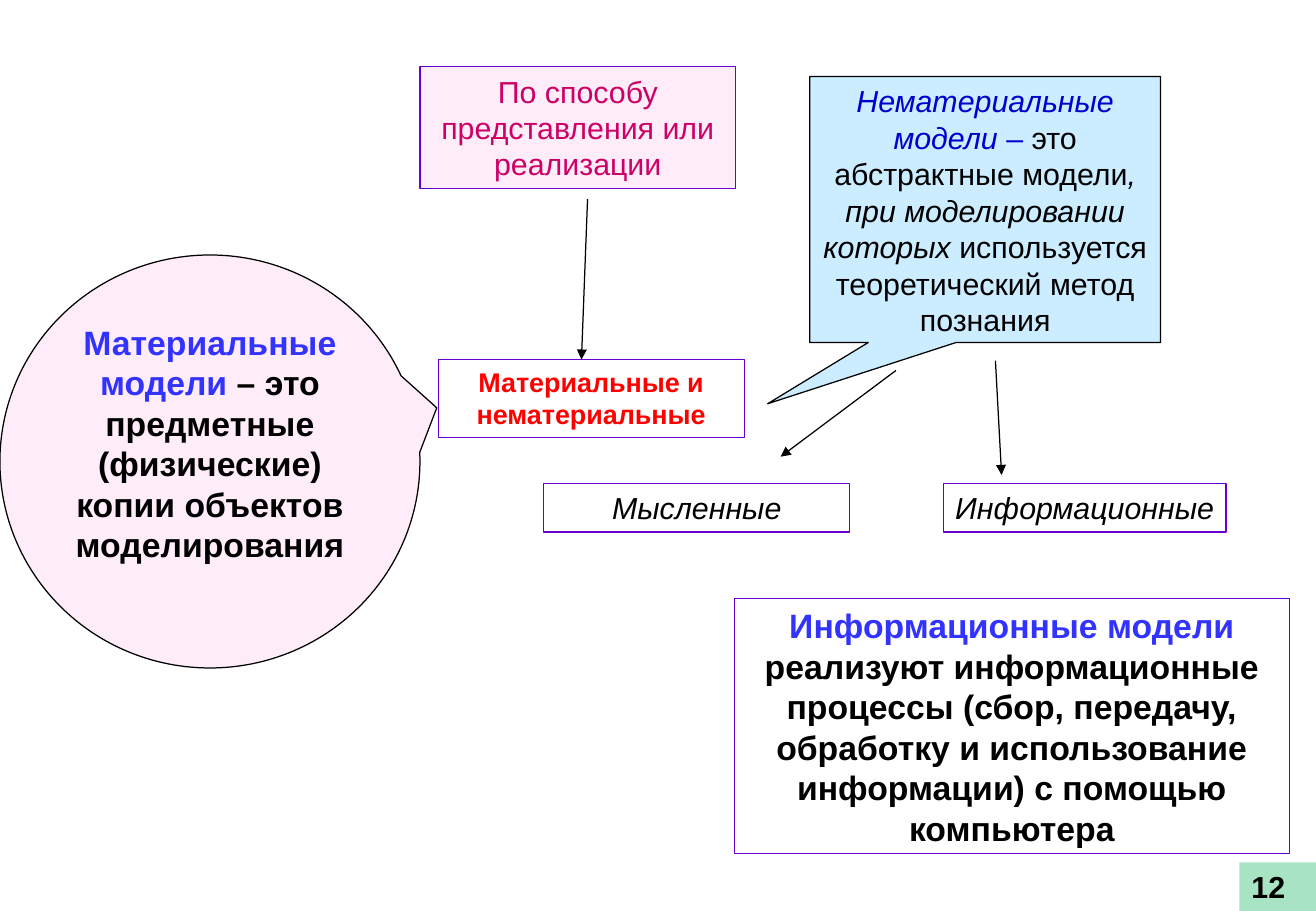
from lxml.etree import SubElement
from pptx import Presentation
from pptx.dml.color import RGBColor
from pptx.enum.shapes import MSO_CONNECTOR, MSO_SHAPE
from pptx.enum.text import MSO_ANCHOR, PP_ALIGN
from pptx.oxml.ns import qn
from pptx.util import Inches, Pt

BLACK = RGBColor(0x00, 0x00, 0x00)
RED = RGBColor(0xFF, 0x00, 0x00)
CRIMSON = RGBColor(0xCC, 0x00, 0x66)
VIOLET = RGBColor(0x66, 0x00, 0xCC)
BLUE = RGBColor(0x33, 0x33, 0xFF)
DARK_BLUE = RGBColor(0x00, 0x00, 0xCC)
PINK = RGBColor(0xFE, 0xEC, 0xF9)
LIGHT_BLUE = RGBColor(0xCC, 0xEC, 0xFF)
GREEN = RGBColor(0x00, 0xB0, 0x50)


class ModelSlide:
    """Draws the boxes, callouts and arrows of one slide in a shared style."""

    font_name = "Arial"
    line_width = Pt(0.75)

    def __init__(self, presentation):
        self.slide = presentation.slides.add_slide(presentation.slide_layouts[6])

    def box(self, bounds, runs, size=18, fill=None, line=VIOLET, bold=False,
            align=PP_ALIGN.CENTER, wrap=True, kind=MSO_SHAPE.RECTANGLE):
        shape = self.slide.shapes.add_shape(kind, *map(Inches, bounds))
        shape.shadow.inherit = False
        if fill is None:
            shape.fill.background()
        else:
            shape.fill.solid()
            shape.fill.fore_color.rgb = fill
        if line is None:
            shape.line.fill.background()
        else:
            shape.line.color.rgb = line
            shape.line.width = self.line_width
        frame = shape.text_frame
        frame.word_wrap = wrap
        frame.vertical_anchor = MSO_ANCHOR.TOP
        frame.margin_left = frame.margin_right = Inches(0.1)
        frame.margin_top = frame.margin_bottom = Inches(0.05)
        paragraph = frame.paragraphs[0]
        paragraph.alignment = align
        for text, color, italic in runs:
            run = paragraph.add_run()
            run.text = text
            run.font.name = self.font_name
            run.font.size = Pt(size)
            run.font.bold = bold
            run.font.italic = italic
            run.font.color.rgb = color
        return shape

    def callout(self, kind, bounds, tip, runs, **style):
        shape = self.box(bounds, runs, kind=kind, line=BLACK, **style)
        shape.adjustments[0], shape.adjustments[1] = tip

    def arrow(self, start, end):
        connector = self.slide.shapes.add_connector(
            MSO_CONNECTOR.STRAIGHT, *map(Inches, start + end))
        connector.line.color.rgb = BLACK
        connector.line.width = self.line_width
        line = connector.line._get_or_add_ln()
        SubElement(line, qn("a:tailEnd"), type="triangle")
        SubElement(connector._element.spPr, qn("a:effectLst"))

    def page_number(self, bounds, number):
        shape = self.box(bounds, [(number, BLACK, False)], fill=GREEN,
                         line=None, bold=True, align=PP_ALIGN.LEFT)
        color = shape._element.spPr.find(qn("a:solidFill"))[0]
        SubElement(color, qn("a:alpha"), val="34000")


def main():
    presentation = Presentation()
    presentation.slide_width = Inches(10.84)
    presentation.slide_height = Inches(7.5)
    slide = ModelSlide(presentation)

    slide.box((3.46, 0.55, 2.6, 1),
              [("По способу представления или реализации", CRIMSON, False)], fill=PINK)
    slide.box((3.61, 2.96, 2.52, 0.64),
              [("Материальные и нематериальные", RED, False)], size=16, bold=True)
    for start, end in (((4.84, 1.64), (4.79, 2.96)),
                       ((7.38, 3.05), (6.43, 3.76)),
                       ((8.2, 2.97), (8.25, 3.91))):
        slide.arrow(start, end)
    slide.box((4.48, 3.98, 2.52, 0.4), [("Мысленные", BLACK, True)])
    slide.box((7.77, 3.98, 2.33, 0.4), [("Информационные", BLACK, True)],
              align=PP_ALIGN.LEFT, wrap=False)
    slide.box((6.05, 4.93, 4.57, 2.1), [
        ("Информационные модели ", BLUE, False),
        ("реализуют информационные процессы (сбор, передачу, обработку и "
         "использование информации) с помощью компьютера", BLACK, False),
    ], size=20, bold=True)
    slide.callout(MSO_SHAPE.OVAL_CALLOUT, (0, 2.1, 3.46, 3.4), (0.54, -0.13), [
        ("Материальные модели ", BLUE, False),
        ("– это предметные (физические) копии объектов моделирования", BLACK, False),
    ], size=20, bold=True, fill=PINK)
    slide.callout(MSO_SHAPE.RECTANGULAR_CALLOUT, (6.67, 0.63, 2.89, 2.19), (-0.62, 0.73), [
        ("Нематериальные модели", DARK_BLUE, True),
        (" – ", DARK_BLUE, False),
        ("это абстрактные модели", BLACK, False),
        (", при моделировании которых ", BLACK, True),
        ("используется теоретический метод познания", BLACK, False),
    ], fill=LIGHT_BLUE)
    slide.page_number((10.21, 7.1, 0.63, 0.4), "12")

    presentation.save("out.pptx")


if __name__ == "__main__":
    main()
